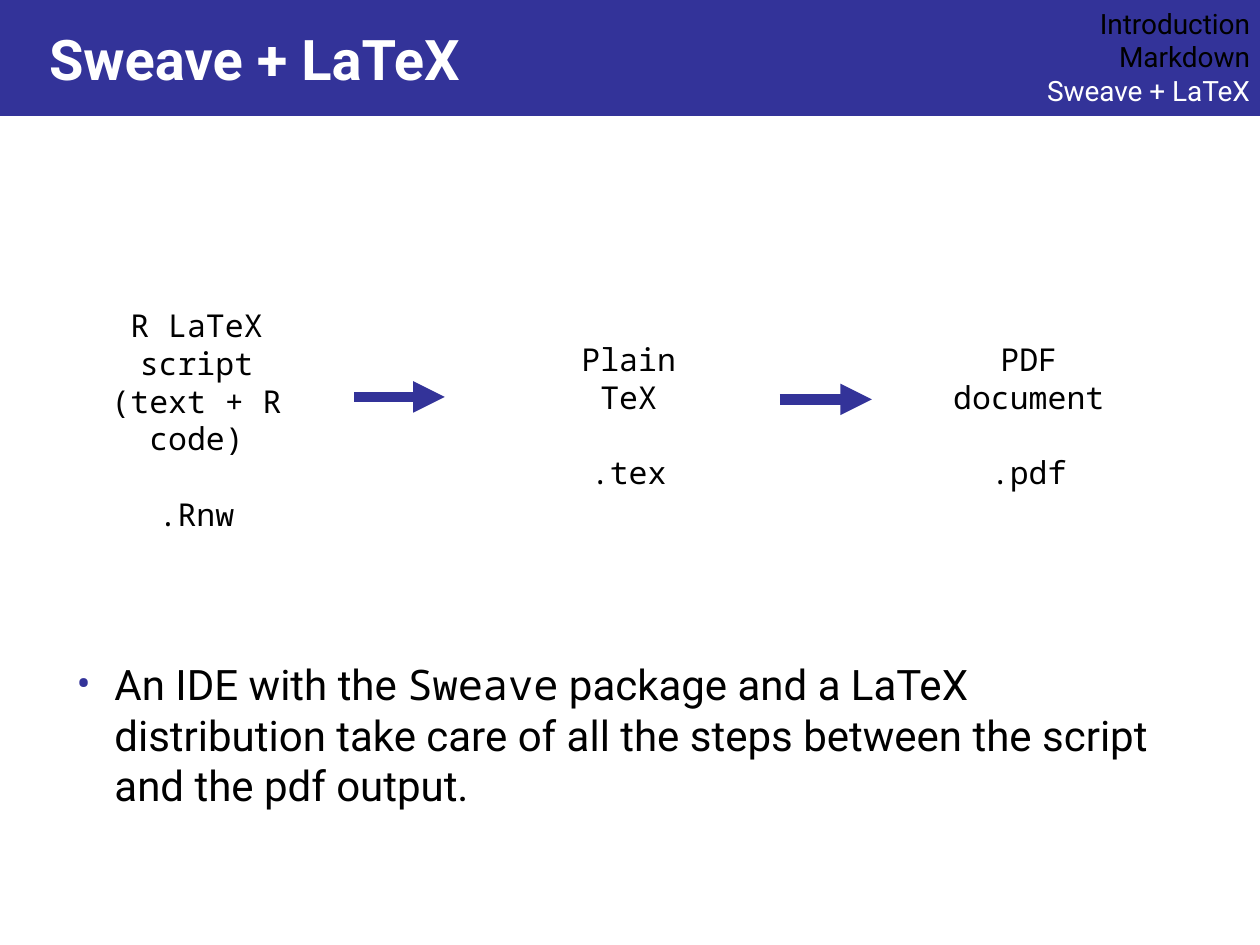
from lxml import etree
from pptx import Presentation
from pptx.dml.color import RGBColor
from pptx.enum.shapes import MSO_CONNECTOR, MSO_SHAPE
from pptx.enum.text import MSO_ANCHOR, PP_ALIGN
from pptx.oxml.ns import qn
from pptx.util import Inches, Pt

LEFT, CENTER, RIGHT = PP_ALIGN.LEFT, PP_ALIGN.CENTER, PP_ALIGN.RIGHT
TOP, MIDDLE = MSO_ANCHOR.TOP, MSO_ANCHOR.MIDDLE
RECTANGLE, STRAIGHT = MSO_SHAPE.RECTANGLE, MSO_CONNECTOR.STRAIGHT
NAVY, WHITE, BLACK = "333399", "FFFFFF", "000000"
SANS, MONO = "Roboto", "Noto Sans Mono"


def color(hex_code):
    return RGBColor.from_string(hex_code)


class SlideBuilder:
    """Holds the deck style and draws each kind of element on the slide."""

    def __init__(self, slide):
        self.slide = slide

    def prepare(self, shape, anchor=TOP, left_inset=0.1):
        frame = shape.text_frame
        frame.word_wrap = True
        frame.vertical_anchor = anchor
        frame.margin_left, frame.margin_right = Inches(left_inset), Inches(0.1)
        frame.margin_top = frame.margin_bottom = Inches(0.05)
        return frame

    def text_box(self, left, top, width, height):
        return self.prepare(self.slide.shapes.add_textbox(
            Inches(left), Inches(top), Inches(width), Inches(height)))

    def run(self, paragraph, text, size, font=SANS, ink=BLACK, bold=False):
        run = paragraph.add_run()
        run.text = text
        run.font.size, run.font.name, run.font.bold = Pt(size), font, bold
        run.font.color.rgb = color(ink)

    def lines(self, frame, entries, size, font, align):
        for index, (text, ink, gap) in enumerate(entries):
            paragraph = frame.add_paragraph() if index else frame.paragraphs[0]
            paragraph.alignment = align
            paragraph.space_before = Pt(gap)
            self.run(paragraph, text, size, font, ink)

    def banner(self, title, height):
        bar = self.slide.shapes.add_shape(RECTANGLE, 0, 0, Inches(10), Inches(height))
        bar.shadow.inherit = False
        bar.fill.solid()
        bar.fill.fore_color.rgb = color(NAVY)
        bar.line.fill.background()
        heading = self.prepare(bar, MIDDLE, 0.39).paragraphs[0]
        heading.alignment = LEFT
        self.run(heading, title, 32, ink=WHITE, bold=True)

    def navigation(self, sections, current):
        entries = [(name, WHITE if name == current else BLACK, 0) for name in sections]
        self.lines(self.text_box(8.18, 0, 1.84, 0.9), entries, 16, SANS, RIGHT)

    def stage(self, left, top, width, height, description, extension):
        entries = [(text, BLACK, 0) for text in description]
        entries.append((extension, BLACK, 21.5))
        self.lines(self.text_box(left, top, width, height), entries, 18, MONO, CENTER)

    def arrow(self, start, end, y):
        connector = self.slide.shapes.add_connector(
            STRAIGHT, Inches(start), Inches(y), Inches(end), Inches(y))
        connector.line.color.rgb = color(NAVY)
        connector.line.width = Pt(6)
        etree.SubElement(connector.line._get_or_add_ln(), qn("a:tailEnd"), type="triangle")
        etree.SubElement(connector._element.spPr, qn("a:effectLst"))

    def bullet(self, left, top, width, height, pieces):
        paragraph = self.text_box(left, top, width, height).paragraphs[0]
        properties = paragraph._p.get_or_add_pPr()
        properties.set("marL", str(Inches(0.3)))
        properties.set("indent", str(Inches(-0.3)))
        bullet_color = etree.SubElement(properties, qn("a:buClr"))
        etree.SubElement(bullet_color, qn("a:srgbClr"), val=NAVY)
        etree.SubElement(properties, qn("a:buFont"), typeface=SANS)
        etree.SubElement(properties, qn("a:buChar"), char="•")
        for text, font in pieces:
            self.run(paragraph, text, 24, font)


def main():
    deck = Presentation()
    deck.slide_width, deck.slide_height = Inches(10), Inches(7.5)
    builder = SlideBuilder(deck.slides.add_slide(deck.slide_layouts[6]))
    topic = "Sweave + LaTeX"

    builder.banner(topic, 0.92)
    builder.stage(0.63, 2.38, 1.86, 1.3, ["R LaTeX script", "(text + R code)"], ".Rnw")
    builder.arrow(2.81, 3.53, 3.15)
    builder.stage(4.36, 2.65, 1.26, 1, ["Plain TeX"], ".tex")
    builder.stage(7.2, 2.65, 1.93, 1, ["PDF document"], ".pdf")
    builder.arrow(6.19, 6.92, 3.17)
    builder.bullet(0.51, 5.18, 8.92, 1.3, [
        ("An IDE with the ", SANS),
        ("Sweave", MONO),
        (" package and a LaTeX distribution take care of all the steps "
         "between the script and the pdf output.", SANS),
    ])
    builder.navigation(["Introduction", "Markdown", topic], topic)
    deck.save("out.pptx")


if __name__ == "__main__":
    main()
